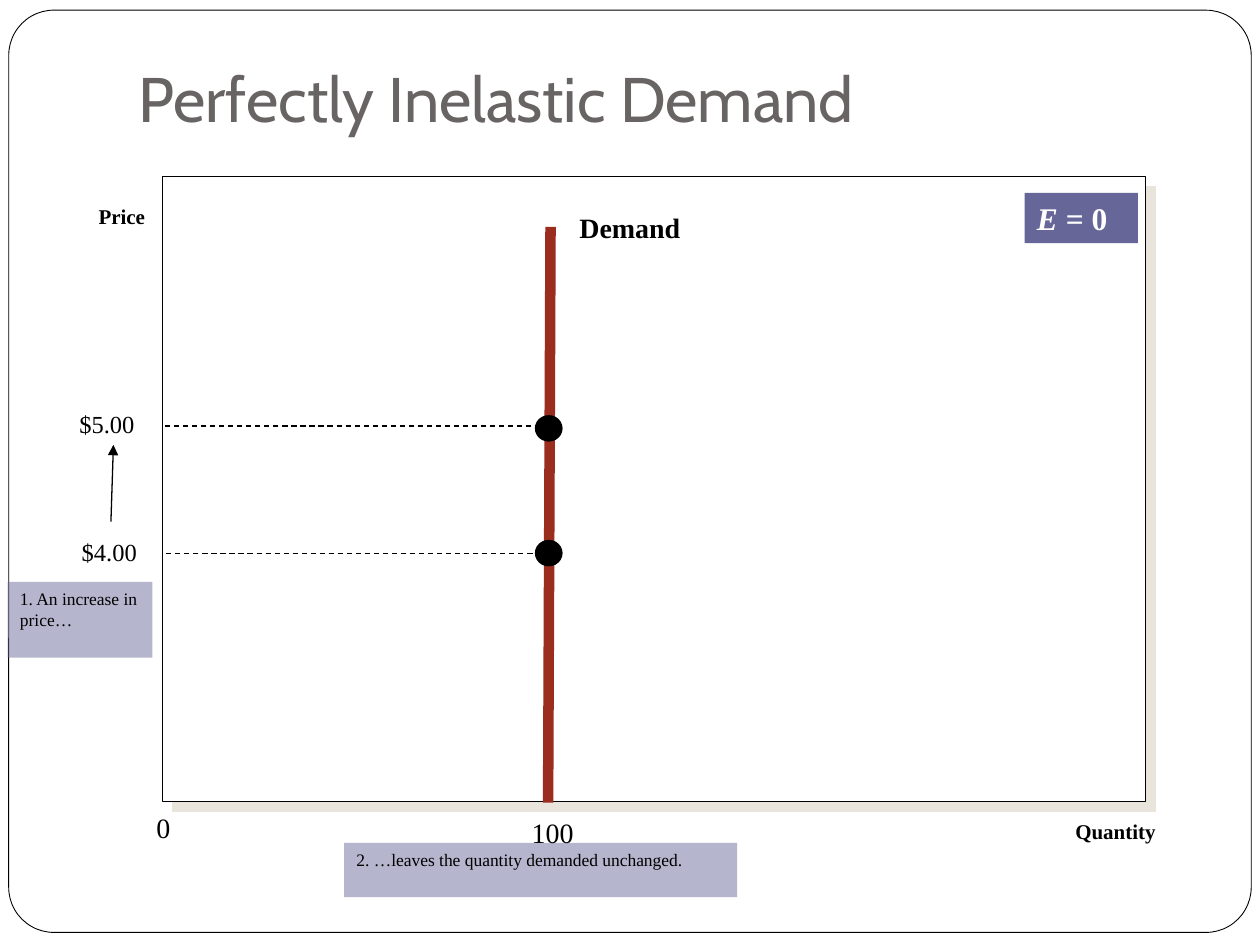
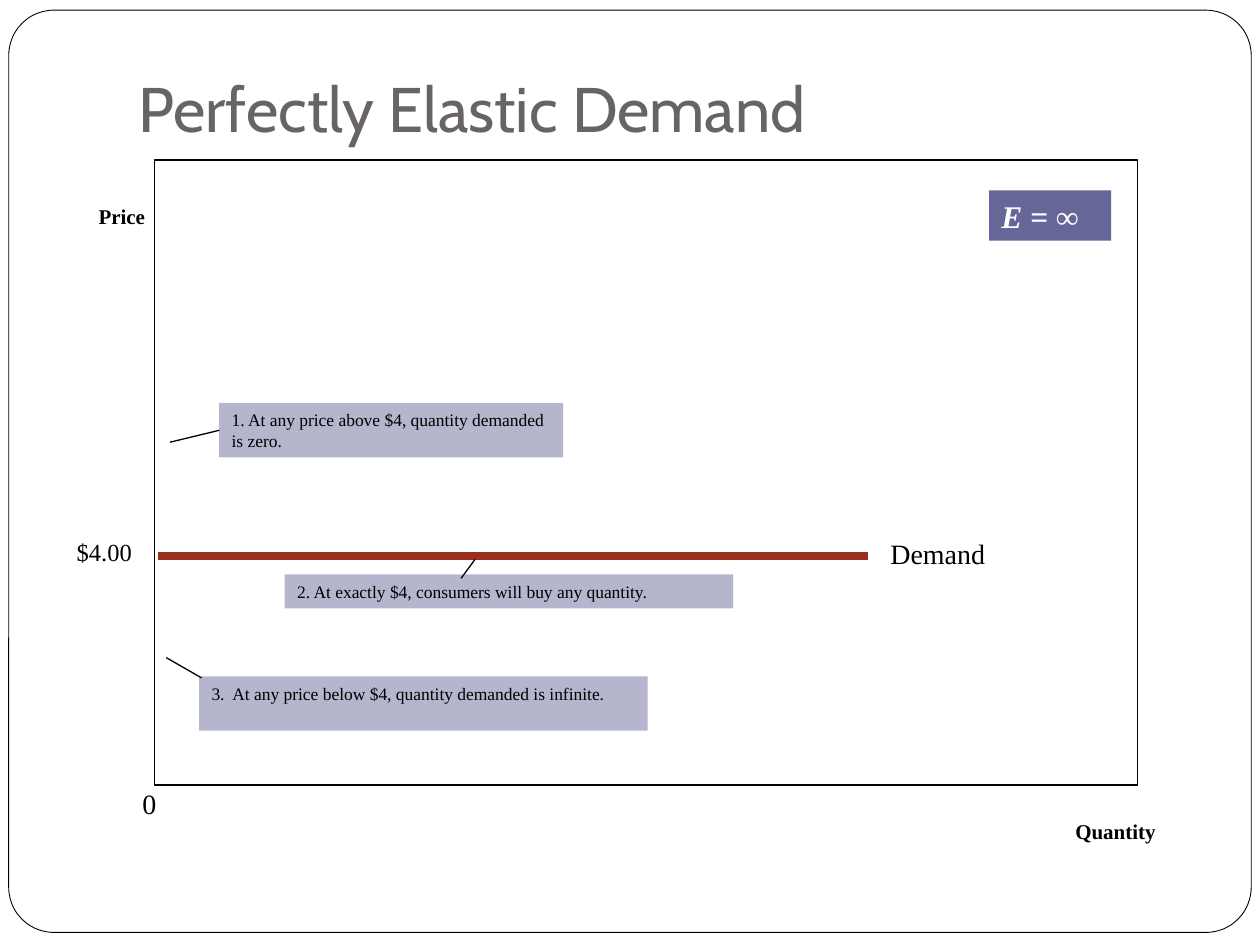
"""Two slides on the limits of demand elasticity, drawn with native shapes."""
from lxml.etree import SubElement as Sub
from pptx import Presentation
from pptx.dml.color import RGBColor as Rgb
from pptx.enum.dml import MSO_LINE as Dash
from pptx.enum.shapes import MSO_CONNECTOR as Conn, MSO_SHAPE as Form
from pptx.enum.text import MSO_ANCHOR as Anchor, PP_ALIGN as Align
from pptx.oxml.ns import qn
from pptx.util import Pt

INK = {"black": "000000", "white": "FFFFFF", "title": "696464",
       "violet": "666699", "red": "9B2D1F", "shade": "E9E5DC"}
SERIF, SANS = "Times New Roman", "Cabin"
WIDE, HIGH = 720, 540
PLOT = 561.6, 357.1
DOT = 15.1, 14.4

AXES = [("Price", 40.3, 113, 49.7, 12, True, "r"),
        ("Quantity", 589.7, 464.4, 77.8, 12, True, "r")]

SLIDES = [
    {"title": ("Perfectly Inelastic Demand", 62.6),
     "plot": (92.9, 100.8), "shade": True,
     "badge": ("= 0", 585.5, 110.2, 64.8),
     "labels": [("0", 56.2, 459.4, 48.2, 16, False, "r"),
                ("Demand", 324, 116.6, 143.3, 16, True, "l"),
                ("100", 291.6, 462.2, 43.2, 16, False, "r"),
                ("$4.00", 39.6, 303.1, 49.7, 14, False, "l"),
                ("$5.00", 38.2, 230.4, 49.7, 14, False, "l")],
     "demand": (314.6, 129.6, 313.2, 458.6, 6),
     "notes": [("1. An increase in price…", 4.3, 332.6, 82.8, 43.2),
               ("2. …leaves the quantity demanded unchanged.", 196.6, 481.7, 224.6, 31)],
     "guides": [(94.3, 243.4, 313.9, 243.4), (95, 316.1, 312.5, 316.1)],
     "arrows": [(63.4, 298.1, 64.8, 254.2)],
     "dots": [(306, 237.6), (306, 308.9)]},
    {"title": ("Perfectly Elastic Demand", 68.4),
     "plot": (88.5, 91.5), "shade": False,
     "badge": ("= ∞", 565.2, 108.8, 69.8),
     "labels": [("0", 48.2, 445.7, 48.2, 16, False, "r"),
                ("$4.00", 36.7, 303.1, 49.7, 14, False, "l"),
                ("Demand", 501.8, 303.1, 153.4, 16, False, "l")],
     "demand": (90, 317.5, 496.1, 317.5, 4.5),
     "notes": [("1. At any price above $4, quantity demanded is zero.", 125.3, 230.4, 196.6, 31),
               ("2. At exactly $4, consumers will buy any quantity.", 162.7, 328.3, 256.3, 19.4),
               ("3.  At any price below $4, quantity demanded is infinite.", 113.8, 386.6, 256.3, 31)],
     "leaders": [(125.3, 245.9, 97.2, 252.7), (263.5, 330.5, 271.4, 319.7),
                 (115.2, 387.4, 95, 375.8)],
     "joins": [(0, 0, 1)]},
]


def tint(name):
    return Rgb.from_string(INK[name])


def style(run, size, color="black", bold=False, font=SERIF, slant=False):
    face = run.font
    face.name, face.size, face.bold, face.italic = font, Pt(size), bold, slant
    face.color.rgb = tint(color)


def draw(slide, form, x, y, w, h, fill, edge=None):
    shape = slide.shapes.add_shape(form, Pt(x), Pt(y), Pt(w), Pt(h))
    shape.shadow.inherit = False
    shape.fill.solid()
    shape.fill.fore_color.rgb = tint(fill)
    if edge:
        shape.line.color.rgb = tint("black")
        shape.line.width = Pt(edge)
    else:
        shape.line.fill.background()
    return shape


def fit(shape):
    frame = shape.text_frame
    frame.word_wrap = True
    frame.vertical_anchor = Anchor.TOP
    frame.paragraphs[0].alignment = Align.LEFT
    return frame


def label(slide, text, x, y, w, size, bold, side):
    box = slide.shapes.add_textbox(Pt(x), Pt(y), Pt(w), Pt(size * 1.2 + 7.2))
    frame = fit(box)
    frame.text = text
    para = frame.paragraphs[0]
    para.alignment = Align.RIGHT if side == "r" else Align.LEFT
    style(para.runs[0], size, bold=bold)


def head(slide, text, h):
    box = slide.shapes.add_textbox(Pt(72), Pt(21.6), Pt(612), Pt(h))
    frame = fit(box)
    frame.vertical_anchor = Anchor.BOTTOM
    frame.margin_bottom = Pt(7.2)
    frame.text = text
    style(frame.paragraphs[0].runs[0], 36, "title", font=SANS)


def badge(slide, text, x, y, w):
    shape = draw(slide, Form.RECTANGLE, x, y, w, 28.8, "violet")
    para = fit(shape).paragraphs[0]
    for part, slant in (("E ", True), (text, False)):
        run = para.add_run()
        run.text = part
        style(run, 18, "white", True, slant=slant)


def note(slide, text, x, y, w, h):
    shape = draw(slide, Form.RECTANGLE, x, y, w, h, "violet")
    color = shape._element.spPr.find(qn("a:solidFill"))[0]
    Sub(color, qn("a:alpha"), val="48000")
    frame = fit(shape)
    frame.text = text
    style(frame.paragraphs[0].runs[0], 10)
    return shape


def line(slide, x1, y1, x2, y2, width=0.75, color="black", dash=False, arrow=False):
    link = slide.shapes.add_connector(Conn.STRAIGHT, Pt(x1), Pt(y1), Pt(x2), Pt(y2))
    link.line.color.rgb = tint(color)
    link.line.width = Pt(width)
    if dash:
        link.line.dash_style = Dash.DASH
    props = link._element.spPr
    if arrow:
        Sub(props.find(qn("a:ln")), qn("a:tailEnd"), type="triangle")
    Sub(props, qn("a:effectLst"))
    return link


def plot(slide, x, y, shade):
    area = draw(slide, Form.RECTANGLE, x, y, *PLOT, "white", 0.75)
    if shade:
        glow = Sub(area._element.spPr.find(qn("a:effectLst")), qn("a:outerShdw"),
                   dist=str(Pt(8.5)), dir="2700000", algn="ctr", rotWithShape="0")
        Sub(glow, qn("a:srgbClr"), val=INK["shade"])


def build(slide, page):
    card = draw(slide, Form.ROUNDED_RECTANGLE, 5, 5.8, 710, 527, "white", 0.5)
    card.adjustments[0] = 0.049
    plot(slide, *page["plot"], page["shade"])
    badge(slide, *page["badge"])
    for item in AXES + page["labels"]:
        label(slide, *item)
    *ends, width = page["demand"]
    line(slide, *ends, width, "red")
    notes = [note(slide, *item) for item in page["notes"]]
    for ends in page.get("guides", []):
        line(slide, *ends, dash=True)
    for ends in page.get("arrows", []):
        line(slide, *ends, arrow=True)
    links = [line(slide, *ends) for ends in page.get("leaders", [])]
    for link, box, side in page.get("joins", []):
        links[link].begin_connect(notes[box], side)
    for spot in page.get("dots", []):
        draw(slide, Form.OVAL, *spot, *DOT, "black", 0.75)
    head(slide, *page["title"])


def main():
    deck = Presentation()
    deck.slide_width, deck.slide_height = Pt(WIDE), Pt(HIGH)
    for page in SLIDES:
        build(deck.slides.add_slide(deck.slide_layouts[6]), page)
    deck.save("out.pptx")


if __name__ == "__main__":
    main()
